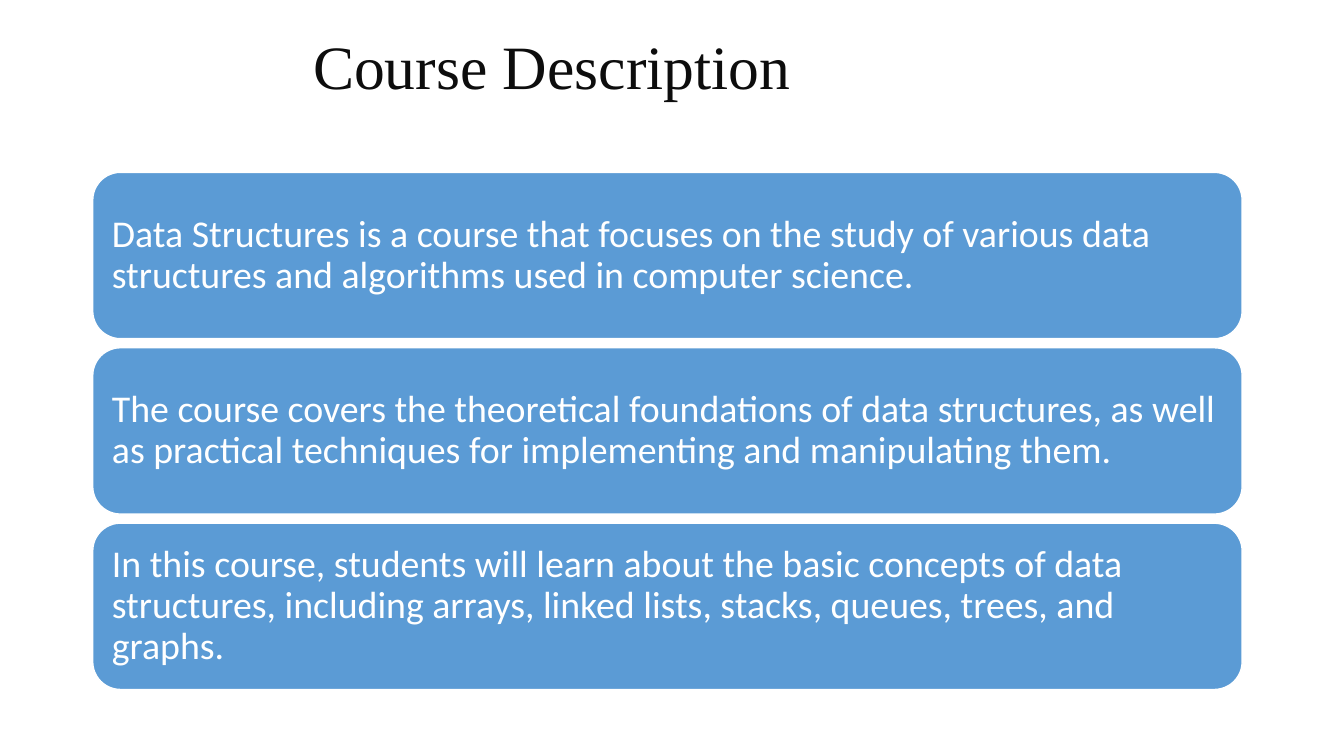
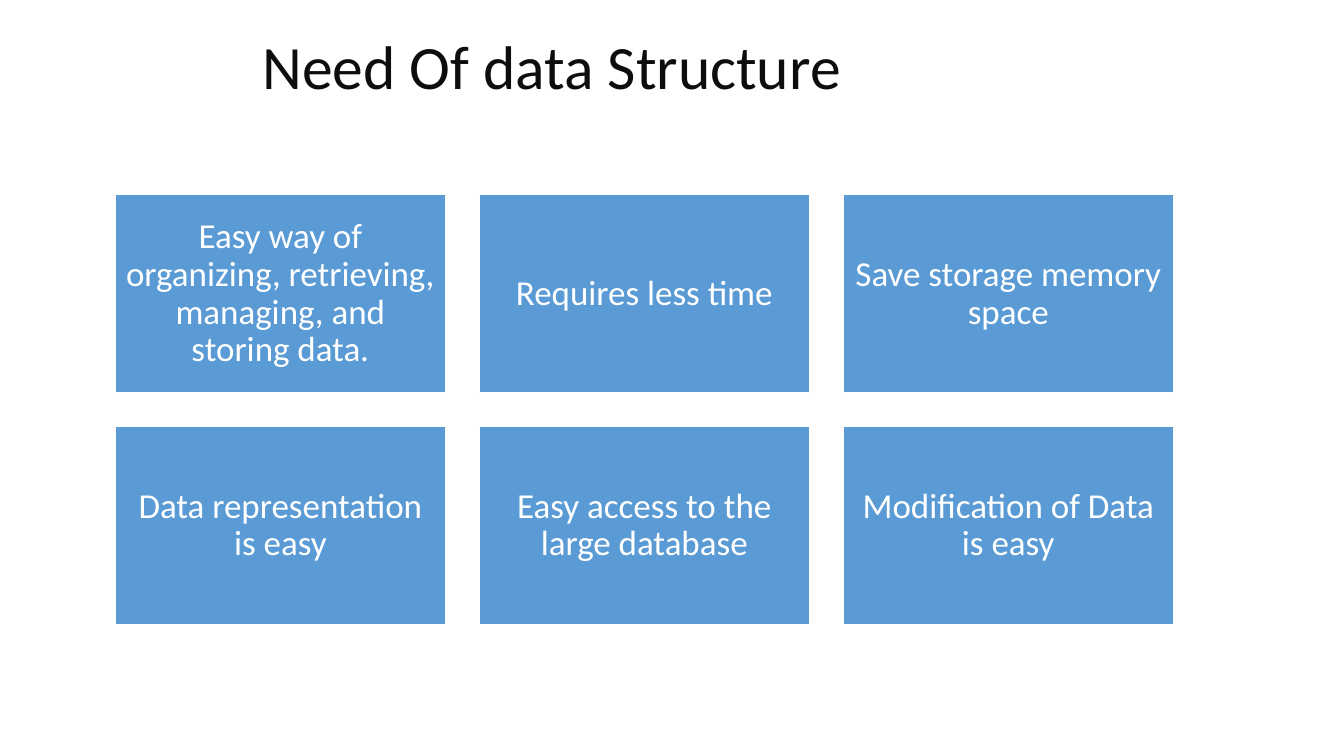
from dataclasses import dataclass

from pptx import Presentation
from pptx.dml.color import RGBColor
from pptx.enum import shapes, text
from pptx.util import Inches, Pt


@dataclass(frozen=True)
class Theme:
    """Colours, fonts and type sizes of the deck."""
    panel: RGBColor = RGBColor(0x5B, 0x9B, 0xD5)
    paper: RGBColor = RGBColor(0xFF, 0xFF, 0xFF)
    ink: RGBColor = RGBColor(0x0D, 0x0D, 0x0D)
    sans: str = "Calibri"
    serif: str = "Times New Roman"
    title_size: int = 44
    statement_size: int = 27
    benefit_size: int = 25
    line_spacing: float = 0.9


THEME = Theme()

STATEMENTS = [
    "Data Structures is a course that focuses on the study of various data "
    "structures and algorithms used in computer science.",
    "The course covers the theoretical foundations of data structures, as well "
    "as practical techniques for implementing and manipulating them.",
    "In this course, students will learn about the basic concepts of data "
    "structures, including arrays, linked lists, stacks, queues, trees, and graphs.",
]

BENEFITS = [
    "Easy way of organizing, retrieving, managing, and storing data.",
    "Requires less time",
    "Save storage memory space",
    "Data representation is easy",
    "Easy access to the large database",
    "Modification of Data is easy",
]


def write(frame, wording, *, size, color, font=THEME.sans,
          align=text.PP_ALIGN.CENTER, inset=0.1):
    """Fill a text frame with one formatted, vertically centred paragraph."""
    frame.word_wrap = True
    frame.vertical_anchor = text.MSO_ANCHOR.MIDDLE
    frame.margin_left = frame.margin_right = Inches(inset)
    frame.margin_top = frame.margin_bottom = Inches(inset)
    paragraph = frame.paragraphs[0]
    paragraph.alignment = align
    paragraph.line_spacing = THEME.line_spacing
    run = paragraph.add_run()
    run.text = wording
    run.font.name = font
    run.font.size = Pt(size)
    run.font.color.rgb = color


class Deck:
    """Holds the presentation, its theme and the current slide."""

    def __init__(self, theme):
        """Start an empty widescreen presentation."""
        self.theme = theme
        self.presentation = Presentation()
        self.presentation.slide_width = Inches(13.33)
        self.presentation.slide_height = Inches(7.5)
        self.slide = None

    def start_slide(self, heading, font):
        """Add a blank slide with its heading."""
        self.slide = self.presentation.slides.add_slide(
            self.presentation.slide_layouts[6])
        title = self.slide.shapes.add_textbox(
            Inches(0.92), Inches(0.15), Inches(9.11), Inches(1.08))
        title.fill.solid()
        title.fill.fore_color.rgb = self.theme.paper
        write(title.text_frame, heading, size=self.theme.title_size,
              color=self.theme.ink, font=font)

    def panel(self, outline, left, top, width, height, wording, **text_format):
        """Draw a filled panel that carries its wording."""
        panel = self.slide.shapes.add_shape(
            outline, Inches(left), Inches(top), Inches(width), Inches(height))
        panel.shadow.inherit = False
        panel.fill.solid()
        panel.fill.fore_color.rgb = self.theme.panel
        panel.line.color.rgb = self.theme.paper
        panel.line.width = Pt(1)
        write(panel.text_frame, wording, color=self.theme.paper, **text_format)


def course_description(deck):
    """Build the stack of course statements."""
    deck.start_slide("Course Description", THEME.serif)
    for row, statement in enumerate(STATEMENTS):
        deck.panel(shapes.MSO_SHAPE.ROUNDED_RECTANGLE,
                   0.92, 1.71 + row * 1.74, 11.4, 1.65, statement,
                   size=THEME.statement_size, align=text.PP_ALIGN.LEFT, inset=0.11)


def need_of_data_structure(deck):
    """Build the three-column grid of benefits."""
    deck.start_slide("Need Of data Structure", THEME.sans)
    width, height, gap = 3.28, 1.97, 0.33
    for index, benefit in enumerate(BENEFITS):
        row, column = divmod(index, 3)
        deck.panel(shapes.MSO_SHAPE.RECTANGLE,
                   1.14 + column * (width + gap), 1.93 + row * (height + gap),
                   width, height, benefit, size=THEME.benefit_size)


def main():
    """Build and save both slides."""
    deck = Deck(THEME)
    course_description(deck)
    need_of_data_structure(deck)
    deck.presentation.save("out.pptx")


if __name__ == "__main__":
    main()
